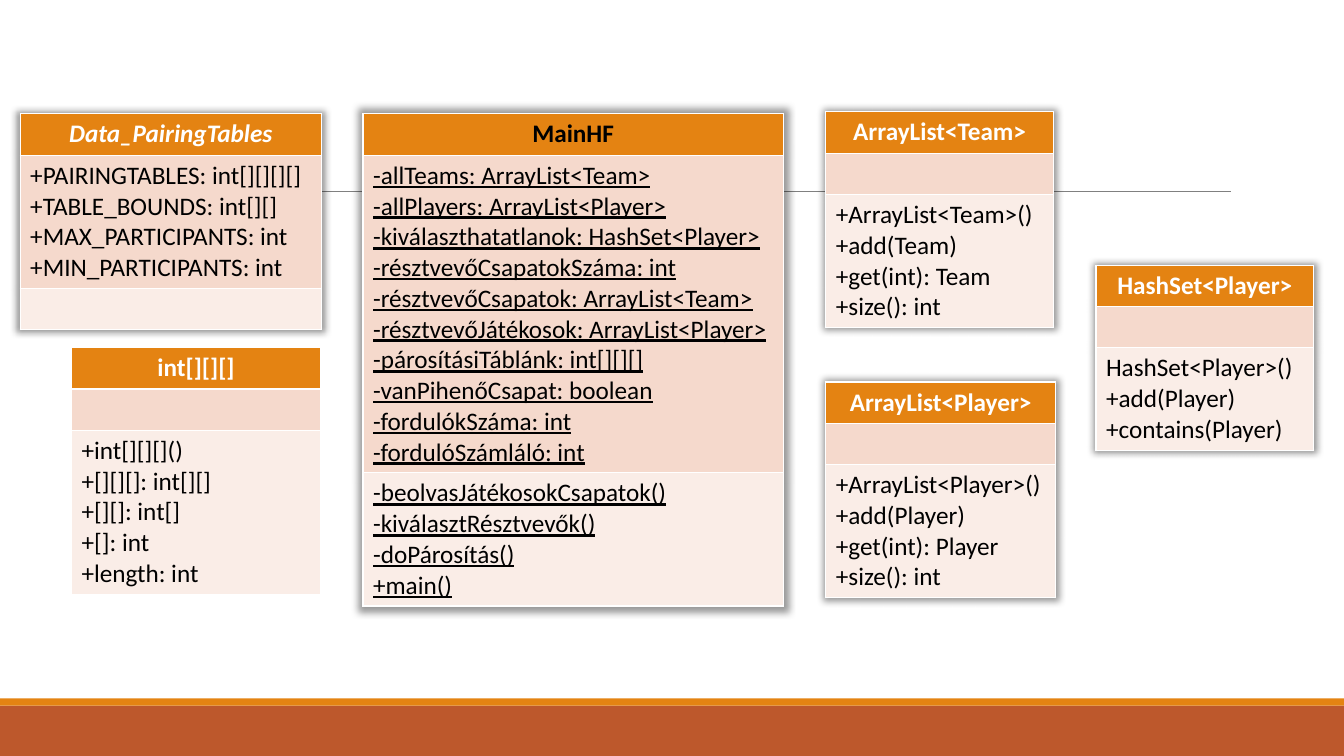
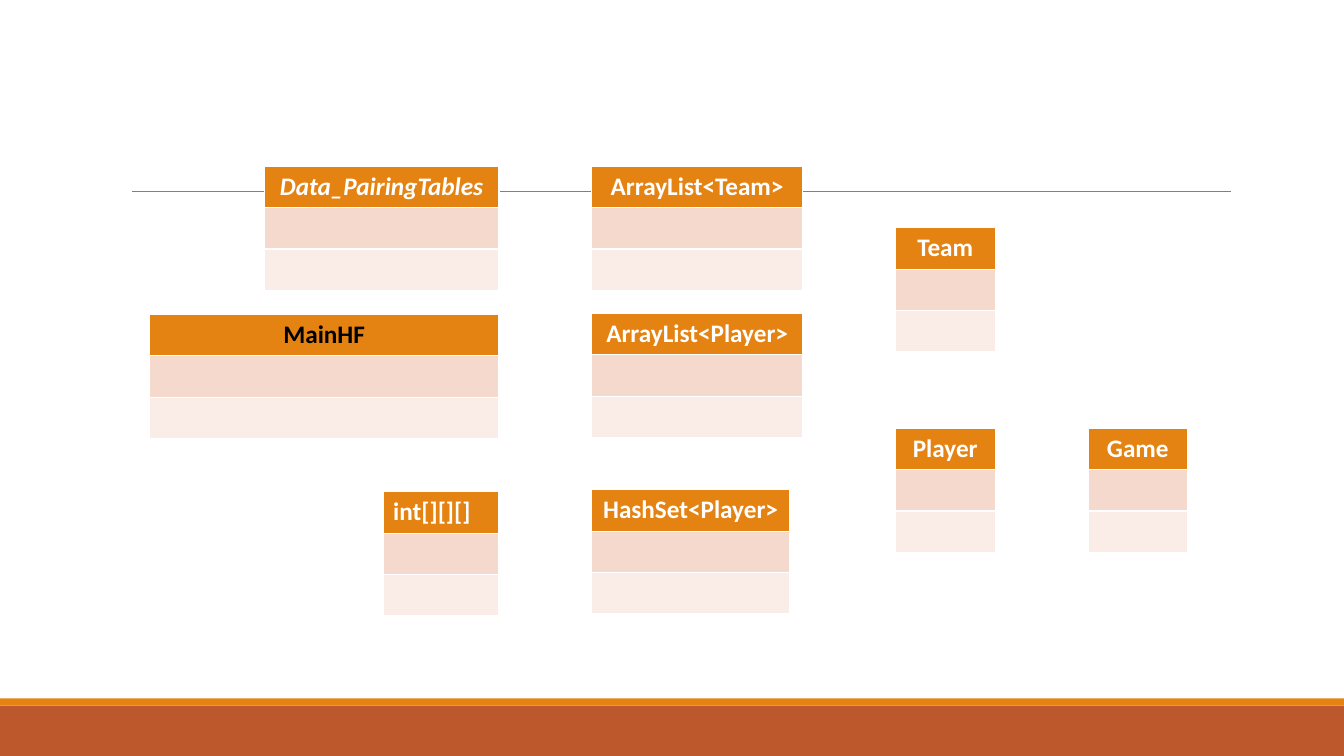
"""Build two slides of UML class boxes: one detailed, one overview."""
from lxml.etree import SubElement
from pptx import Presentation
from pptx.dml.color import RGBColor
from pptx.enum.shapes import MSO_CONNECTOR, MSO_SHAPE
from pptx.enum.text import PP_ALIGN
from pptx.oxml import parse_xml
from pptx.oxml.ns import nsdecls, qn
from pptx.util import Inches, Pt

WHITE = RGBColor(0xFF, 0xFF, 0xFF)
BLACK = RGBColor(0, 0, 0)
GREY = RGBColor(0x80, 0x80, 0x80)
ORANGE = RGBColor(0xE4, 0x83, 0x12)
RUST = RGBColor(0xBD, 0x58, 0x2C)
PEACH = RGBColor(0xF5, 0xD9, 0xCC)
BLUSH = RGBColor(0xFA, 0xED, 0xE7)

FONT = "Calibri"
ROW_H, LINE_H, PADDING = 0.41, 0.305, 0.1
BANDS = [(7, 0.5, RUST), (6.93, 0.07, ORANGE)]
ROW_FILLS = [ORANGE, PEACH, BLUSH]
SHADOW = (
    f'<a:effectLst {nsdecls("a")}><a:outerShdw blurRad="63500" sx="102000" sy="102000" '
    'algn="ctr" rotWithShape="0"><a:srgbClr val="000000"><a:alpha val="40000"/>'
    "</a:srgbClr></a:outerShdw></a:effectLst>"
)

HEADER = {"size": Pt(18), "name": FONT, "bold": True, "italic": False, "underline": False}
BODY = HEADER | {"bold": False}
HEADER_STYLES = {"Data_PairingTables": {"italic": True}}
BODY_STYLES = {"MainHF": {"underline": True}}
HEADER_COLORS = {"MainHF": BLACK}

DETAILED = [
    ("MainHF", 3.6, 1.13, 4.17, [
        "-allTeams: ArrayList<Team>",
        "-allPlayers: ArrayList<Player>",
        "-kiválaszthatatlanok: HashSet<Player>",
        "-résztvevőCsapatokSzáma: int",
        "-résztvevőCsapatok: ArrayList<Team>",
        "-résztvevőJátékosok: ArrayList<Player>",
        "-párosításiTáblánk: int[][][]",
        "-vanPihenőCsapat: boolean",
        "-fordulókSzáma: int",
        "-fordulóSzámláló: int",
    ], [
        "-beolvasJátékosokCsapatok()",
        "-kiválasztRésztvevők()",
        "-doPárosítás()",
        "+main()",
    ]),
    ("ArrayList<Team>", 8.19, 1.11, 2.26, [],
     ["+ArrayList<Team>()", "+add(Team)", "+get(int): Team", "+size(): int"]),
    ("ArrayList<Player>", 8.19, 3.79, 2.28, [],
     ["+ArrayList<Player>()", "+add(Player)", "+get(int): Player", "+size(): int"]),
    ("HashSet<Player>", 10.87, 2.63, 2.16, [],
     ["HashSet<Player>()", "+add(Player)", "+contains(Player)"]),
    ("int[][][]", 0.71, 3.45, 2.47, [],
     ["+int[][][]()", "+[][][]: int[][]", "+[][]: int[]", "+[]: int", "+length: int"]),
    ("Data_PairingTables", 0.2, 1.13, 2.99,
     ["+PAIRINGTABLES: int[][][][]", "+TABLE_BOUNDS: int[][]",
      "+MAX_PARTICIPANTS: int", "+MIN_PARTICIPANTS: int"], []),
]

OVERVIEW = [
    (*box, [], []) for box in [
        ("MainHF", 1.48, 3.12, 3.47),
        ("ArrayList<Team>", 5.87, 1.65, 2.09),
        ("ArrayList<Player>", 5.87, 3.11, 2.09),
        ("HashSet<Player>", 5.87, 4.86, 1.96),
        ("Data_PairingTables", 2.62, 1.65, 2.33),
        ("Player", 8.88, 4.25, 0.99),
        ("Team", 8.88, 2.26, 0.99),
        ("int[][][]", 3.8, 4.88, 1.15),
        ("Game", 10.79, 4.25, 0.99),
    ]
]


def add_base(s):
    """Draw the footer bands and the title rule."""
    for top, height, color in BANDS:
        sp = s.shapes.add_shape(
            MSO_SHAPE.RECTANGLE, 0, Inches(top), prs.slide_width, Inches(height))
        sp.shadow.inherit = False
        sp.fill.solid()
        sp.fill.fore_color.rgb = color
        sp.line.fill.background()
    rule = s.shapes.add_connector(
        MSO_CONNECTOR.STRAIGHT, Inches(1.31), Inches(1.9), Inches(12.21), Inches(1.9))
    rule.line.color.rgb = GREY
    rule.line.width = Pt(0.5)
    SubElement(rule.element.spPr, qn("a:effectLst"))


def add_class_box(s, name, left, top, width, fields, methods):
    """Draw one class as a three-row table and return the table."""
    sections = [[name], fields, methods]
    heights = [max(ROW_H, PADDING + LINE_H * len(lines)) for lines in sections]
    table = s.shapes.add_table(
        3, 1, Inches(left), Inches(top), Inches(width), Inches(sum(heights))).table
    table.horz_banding = False
    header = HEADER | HEADER_STYLES.get(name, {})
    body = BODY | BODY_STYLES.get(name, {})
    styles = [(header, HEADER_COLORS.get(name, WHITE)), (body, BLACK), (body, BLACK)]
    for i, (lines, height, fill, (style, color)) in enumerate(
            zip(sections, heights, ROW_FILLS, styles)):
        table.rows[i].height = Inches(height)
        cell = table.cell(i, 0)
        cell.fill.solid()
        cell.fill.fore_color.rgb = fill
        cell.text_frame.text = "\n".join(lines)
        for p in cell.text_frame.paragraphs:
            p.alignment = PP_ALIGN.LEFT if i else PP_ALIGN.CENTER
            for r in p.runs:
                for key, value in style.items():
                    setattr(r.font, key, value)
                r.font.color.rgb = color
    return table


prs = Presentation()
prs.slide_width, prs.slide_height = Inches(13.33), Inches(7.5)

for boxes in (DETAILED, OVERVIEW):
    s = prs.slides.add_slide(prs.slide_layouts[6])
    add_base(s)
    for box in boxes:
        table = add_class_box(s, *box)
        is_array = box[0] == "int[][][]"
        if boxes is DETAILED and not is_array:
            table._tbl.tblPr.insert(0, parse_xml(SHADOW))
        if boxes is OVERVIEW and is_array:
            table.cell(0, 0).text_frame.paragraphs[0].alignment = PP_ALIGN.LEFT

prs.save("out.pptx")
